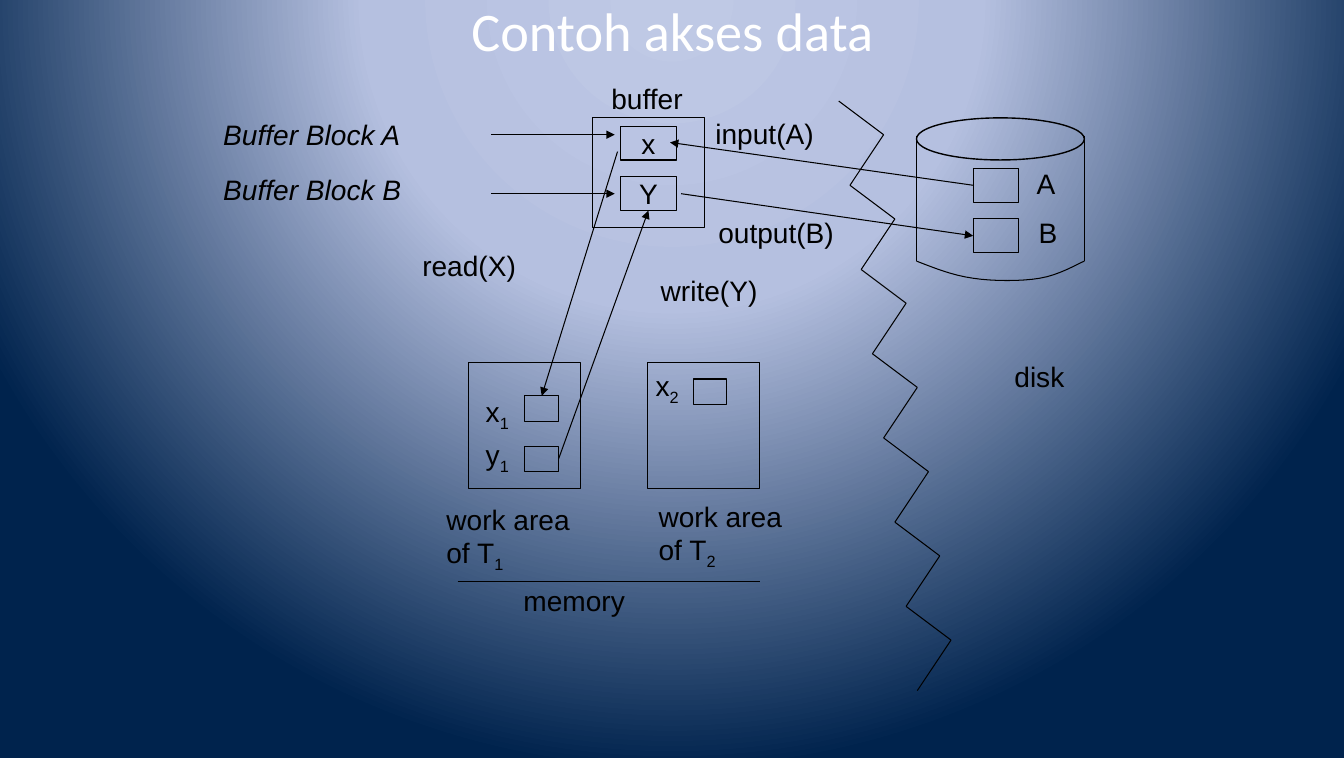
import pptx
import pptx.util
import pptx.dml.color
import pptx.enum.shapes
import pptx.enum.text
import pptx.oxml
import pptx.oxml.ns
from lxml import etree

Pt = pptx.util.Pt
Shape = pptx.enum.shapes.MSO_SHAPE
Align = pptx.enum.text.PP_ALIGN
Anchor = pptx.enum.text.MSO_ANCHOR
qn = pptx.oxml.ns.qn
INK = "000000"
CELL = (24, 18)
BLOCK = (32, 24)


def color(value):
    return pptx.dml.color.RGBColor.from_string(value)


def write(para, text, size=20, face="Arial", ink=INK, slant=False):
    for index, part in enumerate(text.split("_")):
        run = para.add_run()
        run.text = part
        run.font.size = Pt(size)
        run.font.name = face
        run.font.color.rgb = color(ink)
        if slant:
            run.font.italic = True
        if index:
            run.font._element.set("baseline", "-25000")


def label(slide, left, top, width, lines, slant=False):
    lines = lines.split("\n")
    box = slide.shapes.add_textbox(Pt(left), Pt(top), Pt(width), Pt(7.2 + 24.4 * len(lines)))
    frame = box.text_frame
    frame.word_wrap = False
    frame.auto_size = pptx.enum.text.MSO_AUTO_SIZE.SHAPE_TO_FIT_TEXT
    for index, line in enumerate(lines):
        para = frame.add_paragraph() if index else frame.paragraphs[0]
        write(para, line, slant=slant)


def outline(shape, weight=0.75):
    shape.shadow.inherit = False
    shape.fill.background()
    shape.line.color.rgb = color(INK)
    shape.line.width = Pt(weight)
    return shape


def frame_box(slide, left, top, width, height, text="", kind=Shape.RECTANGLE, weight=0.75):
    box = slide.shapes.add_shape(kind, Pt(left), Pt(top), Pt(width), Pt(height))
    outline(box, weight)
    if text:
        frame = box.text_frame
        frame.word_wrap = False
        frame.vertical_anchor = Anchor.MIDDLE
        frame.paragraphs[0].alignment = Align.CENTER
        write(frame.paragraphs[0], text)
    return box


def line(slide, start, end, arrow=False):
    ends = [Pt(value) for value in (*start, *end)]
    link = slide.shapes.add_connector(pptx.enum.shapes.MSO_CONNECTOR.STRAIGHT, *ends)
    link.line.color.rgb = color(INK)
    link.line.width = Pt(0.75)
    if arrow:
        tail = etree.SubElement(link.line._get_or_add_ln(), qn("a:tailEnd"))
        tail.set("type", "triangle")
    etree.SubElement(link._element.spPr, qn("a:effectLst"))
    return link


def backdrop(slide):
    slide.background.fill.gradient()
    grad = slide._element.find(".//" + qn("a:gradFill"))
    for child in list(grad):
        grad.remove(child)
    stops = etree.SubElement(grad, qn("a:gsLst"))
    for place, value in ((0, "BFC9E5"), (40, "B5C0E0"), (100, "00234D")):
        stop = etree.SubElement(stops, qn("a:gs"), pos=str(place * 1000))
        etree.SubElement(stop, qn("a:srgbClr"), val=value)
    shade = etree.SubElement(grad, qn("a:path"), path="circle")
    etree.SubElement(shade, qn("a:fillToRect"), l="50000", t="-80000", r="50000", b="180000")


def heading(slide, left, top, width, height):
    title = slide.shapes.title
    title.left, title.top, title.width, title.height = map(Pt, (left, top, width, height))
    frame = title.text_frame
    frame.auto_size = pptx.enum.text.MSO_AUTO_SIZE.NONE
    frame.vertical_anchor = Anchor.BOTTOM
    frame.paragraphs[0].alignment = Align.CENTER
    write(frame.paragraphs[0], "Contoh akses data", 38.7, "Calibri", "FFFFFF")


def buffer(slide, left, top, width, height):
    frame_box(slide, left, top, width, height)
    label(slide, left + 6.5, top - 29.3, 65.5, "buffer")
    blocks = []
    for index, (text, name) in enumerate((("x", "A"), ("Y", "B"))):
        blocks.append(frame_box(slide, left + 20, top + 6 + 36 * index, 40, 24, text))
        label(slide, left - 270, top - 4 + 39.6 * index, 144, f"Buffer Block {name}", True)
        level = top + 12 + 42 * index
        line(slide, (left - 72, level), (left + 16, level), True)
    return blocks


def disk(slide, left, top, width, height):
    frame_box(slide, left, top, width, 30, kind=Shape.OVAL, weight=1)
    base = top + height - 14
    for side in (left, left + width):
        line(slide, (side, top + 13), (side, base))
    knots = ((0, 0), (13, 5), (25, 10), (40.3, 12.2), (54.7, 14.4), (74.9, 14.4),
             (87.8, 12.2), (101.5, 10), (114.5, 2.2), (width, 0))
    points = []
    for first in (0, 3, 6):
        for step in range(1, 9):
            t = step / 8
            mix = ((1 - t) ** 3, 3 * t * (1 - t) ** 2, 3 * t * t * (1 - t), t ** 3)
            curve = knots[first:first + 4]
            points.append((Pt(left + sum(m * k[0] for m, k in zip(mix, curve))),
                           Pt(base + sum(m * k[1] for m, k in zip(mix, curve)))))
    rim = slide.shapes.build_freeform(Pt(left), Pt(base))
    rim.add_line_segments(points, close=False)
    outline(rim.convert_to_shape())
    blocks = []
    for index, name in enumerate("AB"):
        blocks.append(frame_box(slide, left + 40.4, top + 36 + 36 * index, *BLOCK))
        label(slide, left + 78.5 + 1.5 * index, top + 31 + 35 * index, 28, name)
    label(slide, left + 62.7, top + 168.7, 50.4, "disk")
    return blocks


def work(slide, left, top, width, height, names, cells, note):
    frame_box(slide, left, top, width, height)
    for name, (across, down) in names.items():
        label(slide, left + across, top + down, 32, name)
    text, across, down = note
    label(slide, left + across, top + down, 103, text)
    return [frame_box(slide, left + x, top + y, *CELL) for x, y in cells]


def memory(slide, left, top, width, height):
    cells = work(slide, left + 8, top, 80, height,
                 {"x_1": (5, 19.2), "y_1": (5, 50.2)}, ((40, 24), (40, 60)),
                 ("work area\nof T_1", -23, 96.2))
    work(slide, left + 135.5, top, 80, height, {"x_2": (-1.5, 1.2)}, ((32.4, 12),),
         ("work area\nof T_2", 0.7, 94))
    line(slide, (left, top + 156), (left + width, top + 156))
    label(slide, left + 39.8, top + 153.8, 87, "memory")
    return cells


def border(slide, left, top, width, height):
    turns = 7
    drop = height / turns
    shift = (width - 32) / (turns - 1)
    for index in range(turns):
        x, y = left + shift * index, top + drop * index
        line(slide, (x, y), (x + 32, y + 0.4 * drop))
        line(slide, (x + 32, y + 0.4 * drop), (x + shift, y + drop))


def flows(slide, left, top, slots, blocks, cells):
    fetch = line(slide, (left + 271.4, top + 48), (left + 55.4, top + 17.5), True)
    fetch.begin_connect(blocks[0], 1)
    flush = line(slide, (left + 63.3, top + 54), (left + 271.4, top + 84), True)
    flush.end_connect(blocks[1], 1)
    load = line(slide, (left + 18, top + 24), (left - 36, top + 198), True)
    load.end_connect(cells[0], 0)
    store = line(slide, (left - 24, top + 243), (left + 40, top + 66), True)
    store.begin_connect(cells[1], 3)
    store.end_connect(slots[1], 2)
    for text, across, down, width in (
            ("input(A)", 80.6, -4.8, 85), ("output(B)", 82.7, 65.8, 103),
            ("read(X)", -128.2, 89.5, 81.4), ("write(Y)", 41.7, 107.5, 83.5)):
        label(slide, left + across, top + down, width, text)


def main():
    deck = pptx.Presentation()
    deck.slide_width, deck.slide_height = Pt(957.6), Pt(540)
    slide = deck.slides.add_slide(deck.slide_layouts[5])
    backdrop(slide)
    heading(slide, 56, 0, 846, 48)
    slots = buffer(slide, 422, 84, 80, 78)
    blocks = disk(slide, 653, 84, 119.6, 116)
    cells = memory(slide, 326, 258, 215.5, 90)
    border(slide, 597.6, 72, 80, 420)
    flows(slide, 422, 84, slots, blocks, cells)
    deck.save("out.pptx")


if __name__ == "__main__":
    main()
